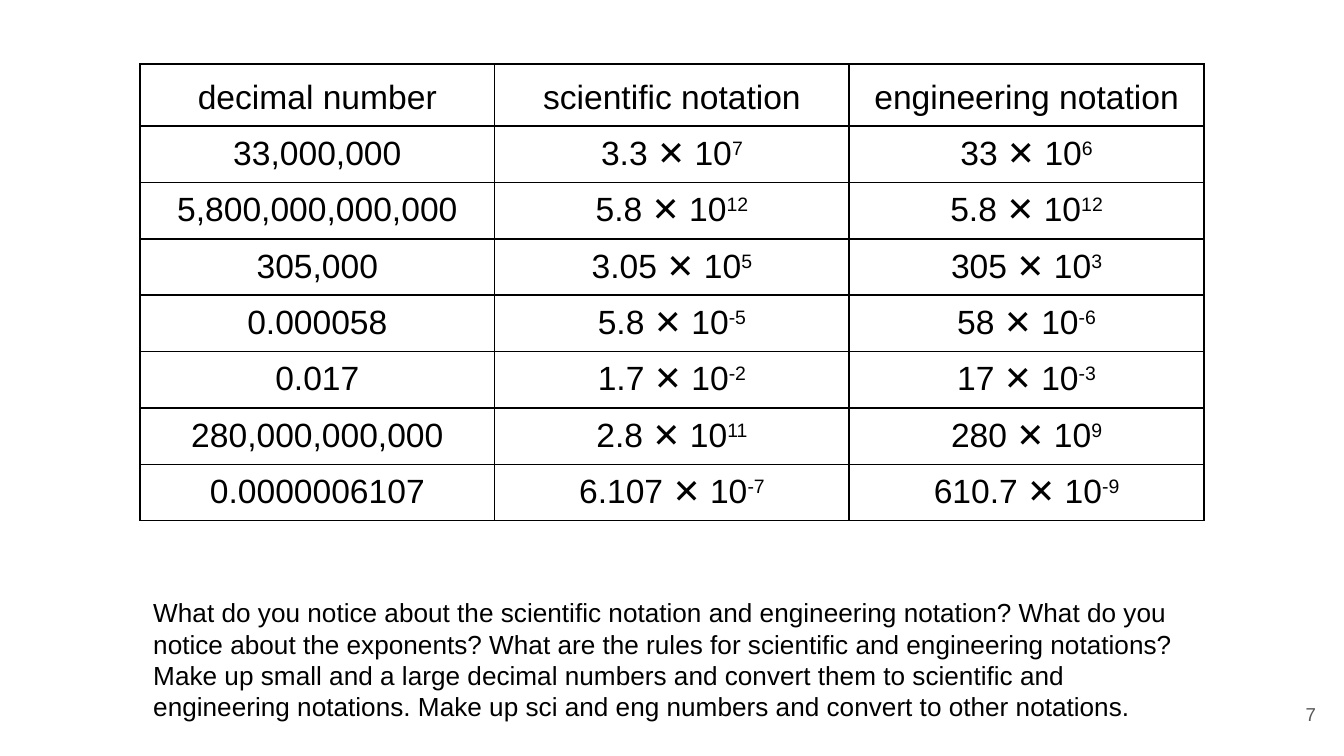
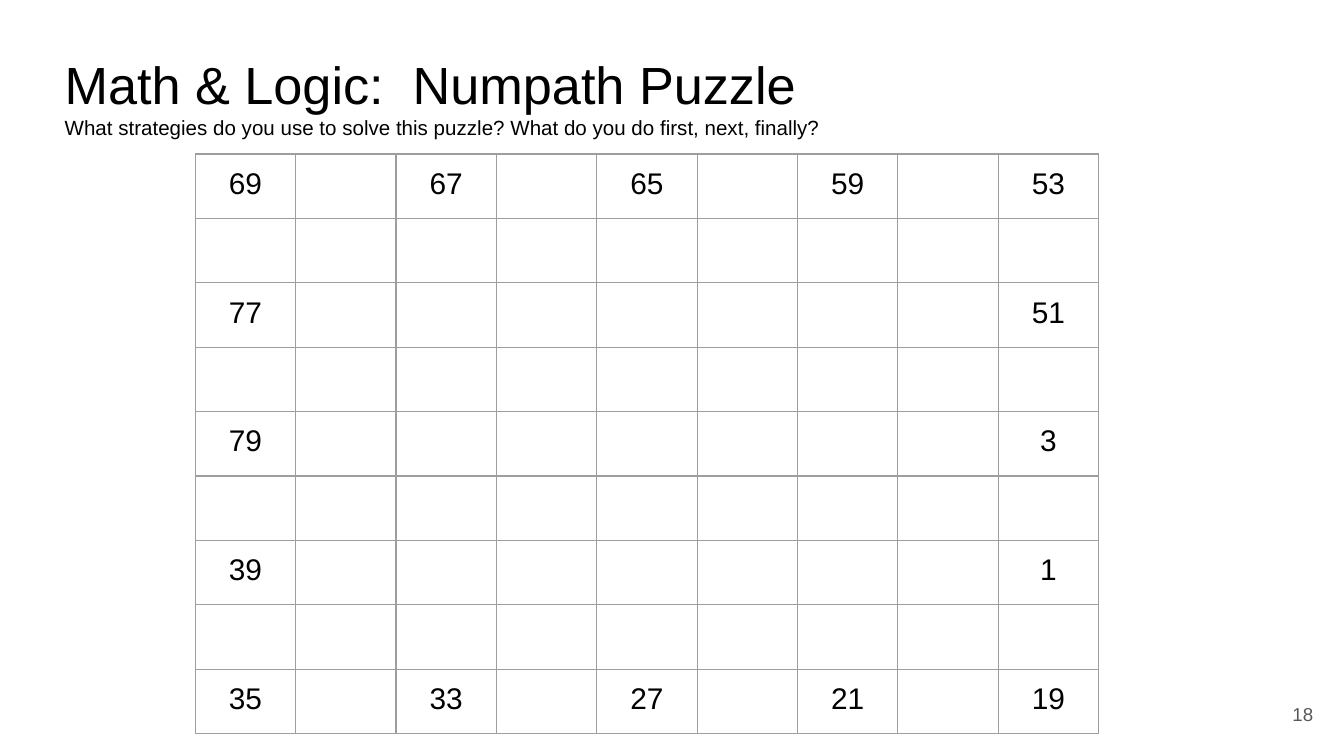
from lxml import etree
from pptx import Presentation
from pptx.dml.color import RGBColor
from pptx.enum import text as t
from pptx.oxml import ns
from pptx.util import Pt

FONT = "Arial"
BLACK, GREY, GRID = "000000", "595959", "9E9E9E"
TITLE_ONLY, BLANK = 5, 6
INSET = 7.2
LEFT, CENTER, RIGHT = t.PP_ALIGN.LEFT, t.PP_ALIGN.CENTER, t.PP_ALIGN.RIGHT

NOTATIONS = [
    ("decimal number", "scientific notation", "engineering notation"),
    ("33,000,000", "3.3 ✕ 10^7", "33 ✕ 10^6"),
    ("5,800,000,000,000", "5.8 ✕ 10^12", "5.8 ✕ 10^12"),
    ("305,000", "3.05 ✕ 10^5", "305 ✕ 10^3"),
    ("0.000058", "5.8 ✕ 10^-5", "58 ✕ 10^-6"),
    ("0.017", "1.7 ✕ 10^-2", "17 ✕ 10^-3"),
    ("280,000,000,000", "2.8 ✕ 10^11", "280 ✕ 10^9"),
    ("0.0000006107", "6.107 ✕ 10^-7", "610.7 ✕ 10^-9"),
]
QUESTIONS = (
    "What do you notice about the scientific notation and engineering notation? "
    "What do you notice about the exponents? What are the rules for scientific and "
    "engineering notations? Make up small and a large decimal numbers and convert "
    "them to scientific and engineering notations. Make up sci and eng numbers and "
    "convert to other notations."
)
PUZZLE_SIZE = 9
# Given numbers, keyed by puzzle row; they fill every other column or both ends
PUZZLE_CLUES = {
    0: (69, 67, 65, 59, 53),
    2: (77, 51),
    4: (79, 3),
    6: (39, 1),
    8: (35, 33, 27, 21, 19),
}


def color(code):
    return RGBColor.from_string(code)


def write(paragraph, content, size=18, fill=BLACK, align=LEFT, spacing=1.0, before=0):
    """Fill a paragraph; whatever follows ^ is an exponent."""
    paragraph.alignment = align
    paragraph.line_spacing = spacing
    paragraph.space_before = Pt(before)
    for level, part in enumerate(content.split("^")):
        run = paragraph.add_run()
        run.text = part
        run.font.name = FONT
        run.font.size = Pt(size)
        run.font.color.rgb = color(fill)
        if level:
            run._r.get_or_add_rPr().set("baseline", "30000")


def set_frame(frame, anchor=t.MSO_ANCHOR.TOP):
    frame.word_wrap = True
    frame.auto_size = t.MSO_AUTO_SIZE.NONE
    frame.vertical_anchor = anchor
    frame.margin_left = frame.margin_right = Pt(INSET)
    frame.margin_top = frame.margin_bottom = Pt(INSET)


def place(item, left, top, width, height):
    item.left, item.top, item.width, item.height = map(Pt, (left, top, width, height))


def add_text(slide, box, content, anchor=t.MSO_ANCHOR.TOP, **style):
    frame = slide.shapes.add_textbox(*map(Pt, box)).text_frame
    set_frame(frame, anchor)
    write(frame.paragraphs[0], content, **style)


def add_page_number(slide, left, number):
    add_text(slide, (left, 367.2, 43.2, 31), number, t.MSO_ANCHOR.MIDDLE,
             size=10, fill=GREY, align=RIGHT)


def add_title(slide, heading, prompt):
    title = slide.shapes.title
    place(title, 27.4, 20.9, 671, 45.4)
    set_frame(title.text_frame)
    write(title.text_frame.paragraphs[0], heading, size=28)
    write(title.text_frame.add_paragraph(), prompt, size=11)


def set_borders(cell, code, width):
    properties = cell._tc.get_or_add_tcPr()
    for position, side in enumerate(("lnL", "lnR", "lnT", "lnB")):
        line = etree.Element(ns.qn(f"a:{side}"), w=str(Pt(width)))
        fill = etree.SubElement(line, ns.qn("a:solidFill"))
        etree.SubElement(fill, ns.qn("a:srgbClr"), val=code)
        properties.insert(position, line)


def add_grid(slide, left, top, col_width, row_heights, rows, border, inset, size,
             header=None):
    """Draw a ruled table; header holds extra text format for the first row."""
    columns = len(rows[0])
    table = slide.shapes.add_table(
        len(rows), columns, Pt(left), Pt(top),
        Pt(col_width * columns), Pt(sum(row_heights))).table
    table.first_row = header is not None
    table.horz_banding = False
    for column in table.columns:
        column.width = Pt(col_width)
    for r, (height, values) in enumerate(zip(row_heights, rows)):
        table.rows[r].height = Pt(height)
        extra = header if header and r == 0 else {}
        for c, value in enumerate(values):
            cell = table.cell(r, c)
            cell.fill.background()
            set_borders(cell, *border)
            if value:
                cell.margin_left = cell.margin_right = Pt(inset)
                cell.margin_top = cell.margin_bottom = Pt(inset)
                write(cell.text_frame.paragraphs[0], value, size=size,
                      align=CENTER, **extra)


def puzzle_rows():
    rows = [[""] * PUZZLE_SIZE for _ in range(PUZZLE_SIZE)]
    for r, clues in PUZZLE_CLUES.items():
        step = (PUZZLE_SIZE - 1) // (len(clues) - 1)
        rows[r][::step] = map(str, clues)
    return rows


def build_notations(deck):
    slide = deck.slides.add_slide(deck.slide_layouts[BLANK])
    add_page_number(slide, 668.9, "7")
    add_grid(slide, 75, 34.4, 190, [33.2] + [30.2] * (len(NOTATIONS) - 1),
             NOTATIONS, border=(BLACK, 1), inset=4.75, size=18,
             header={"spacing": 1.15, "before": 7})
    add_text(slide, (75, 312.5, 570.2, 54.7), QUESTIONS, size=14)


def build_puzzle(deck):
    slide = deck.slides.add_slide(deck.slide_layouts[TITLE_ONLY])
    add_title(slide, "Math & Logic:  Numpath Puzzle",
              "What strategies do you use to solve this puzzle? "
              "What do you do first, next, finally?")
    add_grid(slide, 104.6, 82.5, 53.8, [34.5] * PUZZLE_SIZE, puzzle_rows(),
             border=(GRID, 0.75), inset=INSET, size=16)
    add_page_number(slide, 667.4, "18")


def main():
    deck = Presentation()
    deck.slide_width, deck.slide_height = Pt(720), Pt(405)
    build_notations(deck)
    build_puzzle(deck)
    deck.save("out.pptx")


if __name__ == "__main__":
    main()
